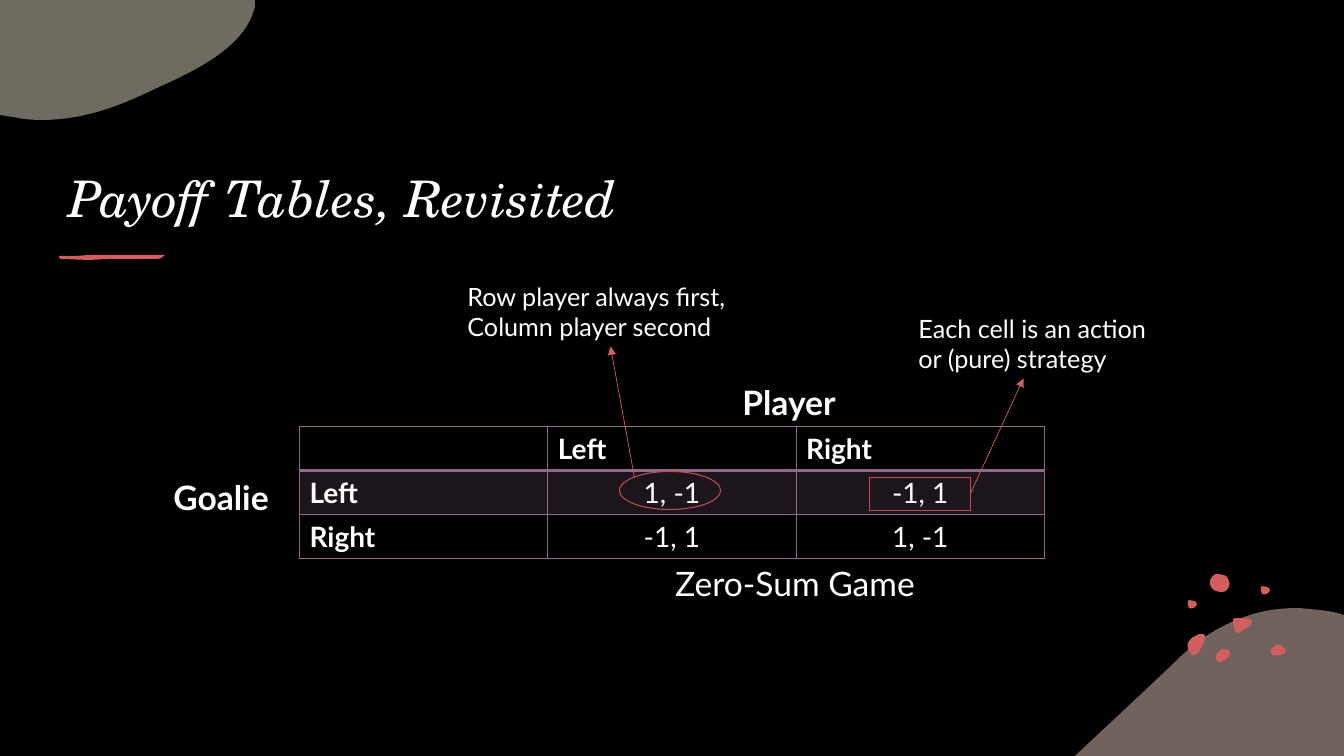
from lxml.etree import SubElement
from pptx import Presentation
from pptx.dml.color import RGBColor
from pptx.enum.shapes import MSO_CONNECTOR, MSO_SHAPE
from pptx.enum.text import MSO_ANCHOR, PP_ALIGN
from pptx.oxml.ns import qn
from pptx.util import Emu, Pt

SCALE = 914400 / 100.8
COLORS = {"bg": "000000", "text": "FFFFFF", "accent": "D45E5E", "mark": "C05050",
          "grid": "8F6B8A", "sand": "DCD9C3", "rose": "E5C4BA"}
BODY = {"name": "Lato", "size": Pt(18), "bold": False, "italic": False}
LABEL = {**BODY, "size": Pt(24)}
STRONG = {**LABEL, "bold": True}
CELL = {**BODY, "size": Pt(20)}
TITLE = {**BODY, "name": "TeX Gyre Schola", "size": Pt(36), "italic": True}

# Outlines: a start point, then lines (x, y) and cubic curves (six numbers).
TOP_BLOB = [(0, 0), (255, 0), (255, 6), (247, 44, 202, 68, 159, 87),
            (124, 104, 87, 120, 41, 120), (31, 120, 22, 119, 13, 117), (0, 115)]
BOTTOM_BLOB = [(223, 0), (236, 1, 249, 2, 263, 5), (269, 7), (269, 148), (0, 148),
               (37, 113, 72, 81, 103, 51), (125, 29, 149, 16, 172, 8),
               (189, 2, 206, 0, 223, 0)]
UNDERLINE = [(0, 1), (17, 1), (30, 0), (106, 0), (103, 1, 104, 4, 98, 4),
             (49, 4), (30, 5), (2, 4), (0, 4, 0, 2, 0, 1)]
SMALL_DOT = [(1, 5), (1, 5, 0, 1, 2, 0), (4, 0, 5, 0, 7, 1), (8, 1, 10, 2, 10, 4),
             (10, 5, 9, 6, 8, 7), (8, 7, 8, 8, 6, 8), (5, 8, 3, 9, 2, 8),
             (1, 6, 1, 6, 1, 5)]
ROUND_DOT = [(2, 12), (1, 12, 0, 6, 3, 3), (5, 1, 5, 0, 8, 0), (11, 0, 15, 1, 17, 2),
             (19, 4, 22, 9, 20, 13), (18, 16, 17, 18, 13, 18),
             (10, 18, 5, 17, 4, 15), (2, 14, 2, 13, 2, 12)]
WEDGE = [(5, 0), (11, 0, 22, 0, 18, 6), (18, 7, 17, 8, 16, 8), (13, 10, 10, 12, 7, 14),
         (6, 15, 5, 16, 4, 15), (3, 14, 2, 13, 2, 12), (1, 10, 0, 6, 0, 3),
         (0, 2, 0, 0, 2, 0)]
TALL_DOT = [(13, 0), (16, 0, 18, 0, 18, 2), (18, 3, 18, 3, 18, 4),
            (17, 9, 14, 14, 12, 18), (10, 20, 7, 23, 4, 20), (1, 17, 0, 12, 1, 9),
            (2, 6, 4, 5, 6, 3), (8, 3, 11, 0, 13, 0)]
LEAF = [(7, 0), (9, 0, 10, 0, 12, 1), (14, 2, 15, 4, 14, 6), (12, 9, 6, 14, 2, 13),
        (1, 12, 0, 10, 0, 8), (0, 6, 2, 3, 4, 2), (5, 1, 6, 0, 7, 0)]
FLAT_DOT = [(9, 0), (11, 0, 14, 2, 15, 4), (16, 6, 16, 8, 13, 9), (10, 11, 2, 11, 1, 8),
            (0, 6, 1, 4, 2, 3), (4, 1, 6, 0, 9, 0)]
DOTS = [(29, 75, LEAF), (0, 60, TALL_DOT), (83, 71, FLAT_DOT), (22, 0, ROUND_DOT),
        (73, 12, SMALL_DOT), (0, 26, SMALL_DOT), (46, 44, WEDGE)]


def px(n):
    return Emu(round(n * SCALE))


def rgb(name):
    return RGBColor.from_string(COLORS[name])


def set_alpha(fill_parent, percent):
    """Make the solid fill inside an XML element translucent."""
    color = fill_parent.find(qn("a:solidFill"))[0]
    SubElement(color, qn("a:alpha"), val=str(percent * 1000))


def bend(sp, outline):
    """Merge the three line points of each curve segment into one cubic curve."""
    path = next(sp._element.iter(qn("a:path")))
    lines = iter(path.findall(qn("a:lnTo")))
    for segment in outline[1:]:
        line = next(lines)
        if len(segment) == 6:
            curve = path.makeelement(qn("a:cubicBezTo"), {})
            path.replace(line, curve)
            curve.append(line[0])
            for _ in range(2):
                control = next(lines)
                curve.append(control[0])
                path.remove(control)


def add_blob(s, x, y, outline, color, alpha=None):
    points = [(px(x + seg[i]), px(y + seg[i + 1]))
              for seg in outline for i in range(0, len(seg), 2)]
    builder = s.shapes.build_freeform(*points[0], scale=1.0)
    builder.add_line_segments(points[1:], close=True)
    sp = builder.convert_to_shape()
    bend(sp, outline)
    sp.shadow.inherit = False
    sp.fill.solid()
    sp.fill.fore_color.rgb = rgb(color)
    sp.line.fill.background()
    if alpha:
        set_alpha(sp._element.spPr, alpha)


def write(tf, text, fmt, align=PP_ALIGN.LEFT):
    p = tf.paragraphs[0]
    p.alignment = align
    r = p.add_run()
    r.text = text
    for name, value in fmt.items():
        setattr(r.font, name, value)
    r.font.color.rgb = rgb("text")


def add_text(s, box, text, fmt, align=PP_ALIGN.LEFT, anchor=MSO_ANCHOR.TOP):
    tf = s.shapes.add_textbox(*map(px, box)).text_frame
    tf.word_wrap = True
    tf.vertical_anchor = anchor
    write(tf, text, fmt, align)


def add_decor(s, width, height):
    add_blob(s, width - 269, height - 148, BOTTOM_BLOB, "rose", 50)
    for dx, dy, outline in DOTS:
        add_blob(s, width - 157 + dx, height - 182 + dy, outline, "accent")
    add_blob(s, 0, 0, TOP_BLOB, "sand", 50)


def add_title(s, x, y, w, h):
    add_blob(s, x, y + h + 22, UNDERLINE, "accent")
    add_text(s, (x, y, w, h), "Payoff Tables, Revisited", TITLE, anchor=MSO_ANCHOR.BOTTOM)


def add_borders(cell, bottom, top):
    tcPr = cell._tc.get_or_add_tcPr()
    for index, (side, width) in enumerate(
            (("L", 1), ("R", 1), ("T", top), ("B", bottom))):
        ln = tcPr.makeelement(qn(f"a:ln{side}"), {"w": str(Pt(width))})
        SubElement(SubElement(ln, qn("a:solidFill")), qn("a:srgbClr"), val=COLORS["grid"])
        tcPr.insert(index, ln)


def add_payoff_table(s, x, y, w, row_h):
    rows = [("", "Left", "Right"), ("Left", "1, -1", "-1, 1"), ("Right", "-1, 1", "1, -1")]
    table = s.shapes.add_table(3, 3, *map(px, (x, y, w, 3 * row_h))).table
    table.horz_banding = False
    for i, row in enumerate(rows):
        table.rows[i].height = px(row_h)
        table.columns[i].width = px(w / 3)
        for j, text in enumerate(row):
            cell = table.cell(i, j)
            payoff = i > 0 and j > 0
            if text:
                write(cell.text_frame, text, {**CELL, "bold": not payoff},
                      PP_ALIGN.CENTER if payoff else PP_ALIGN.LEFT)
            if i == 1:
                cell.fill.solid()
                cell.fill.fore_color.rgb = rgb("grid")
                set_alpha(cell._tc.tcPr, 20)
            else:
                cell.fill.background()
            add_borders(cell, bottom=2 if i == 0 else 1, top=2 if i == 1 else 1)
    add_text(s, (x - 136, y + 45, 137, 50), "Goalie", STRONG)
    add_text(s, (x + 433, y - 50, 137, 50), "Player", STRONG)
    add_text(s, (x + 246, y + 131, 499, 50), "Zero-Sum Game", LABEL, PP_ALIGN.CENTER)


def add_callout(s, kind, box, start, end, note_box, note):
    """Ring a payoff and point an arrow at a note, all relative to the ring."""
    x, y, w, h = box
    ring = s.shapes.add_shape(kind, *map(px, box))
    ring.shadow.inherit = False
    ring.fill.background()
    ring.line.color.rgb = rgb("mark")
    ring.line.width = Pt(0.75)
    ends = (x + start[0], y + start[1], x + end[0], y + end[1])
    arrow = s.shapes.add_connector(MSO_CONNECTOR.STRAIGHT, *map(px, ends))
    arrow.line.color.rgb = rgb("accent")
    arrow.line.width = Pt(0.5)
    SubElement(arrow.line._get_or_add_ln(), qn("a:tailEnd"), type="triangle")
    SubElement(arrow._element.spPr, qn("a:effectLst"))
    dx, dy, note_w, note_h = note_box
    add_text(s, (x + dx, y + dy, note_w, note_h), note, BODY)


def add_callouts(s, x, y):
    """Place both callouts relative to the corner of the payoff table."""
    add_callout(s, MSO_SHAPE.OVAL, (x + 320, y + 45, 101, 38), (15, 6), (-9, -125),
                (-162, -195, 306, 72), "Row player always first, Column player second")
    add_callout(s, MSO_SHAPE.RECTANGLE, (x + 570, y + 51, 101, 33), (101, 16), (154, -99),
                (39, -169, 273, 72), "Each cell is an action or (pure) strategy")


def main():
    width, height, table_w = 1344, 756, 745
    prs = Presentation()
    prs.slide_width, prs.slide_height = px(width), px(height)
    s = prs.slides.add_slide(prs.slide_layouts[6])
    s.background.fill.solid()
    s.background.fill.fore_color.rgb = rgb("bg")
    add_decor(s, width, height)
    add_title(s, 59, 87, 1111, 146)
    table_x, table_y = (width - table_w) / 2, 426.5
    add_payoff_table(s, table_x, table_y, table_w, 44)
    add_callouts(s, table_x, table_y)
    prs.save("out.pptx")


if __name__ == "__main__":
    main()
